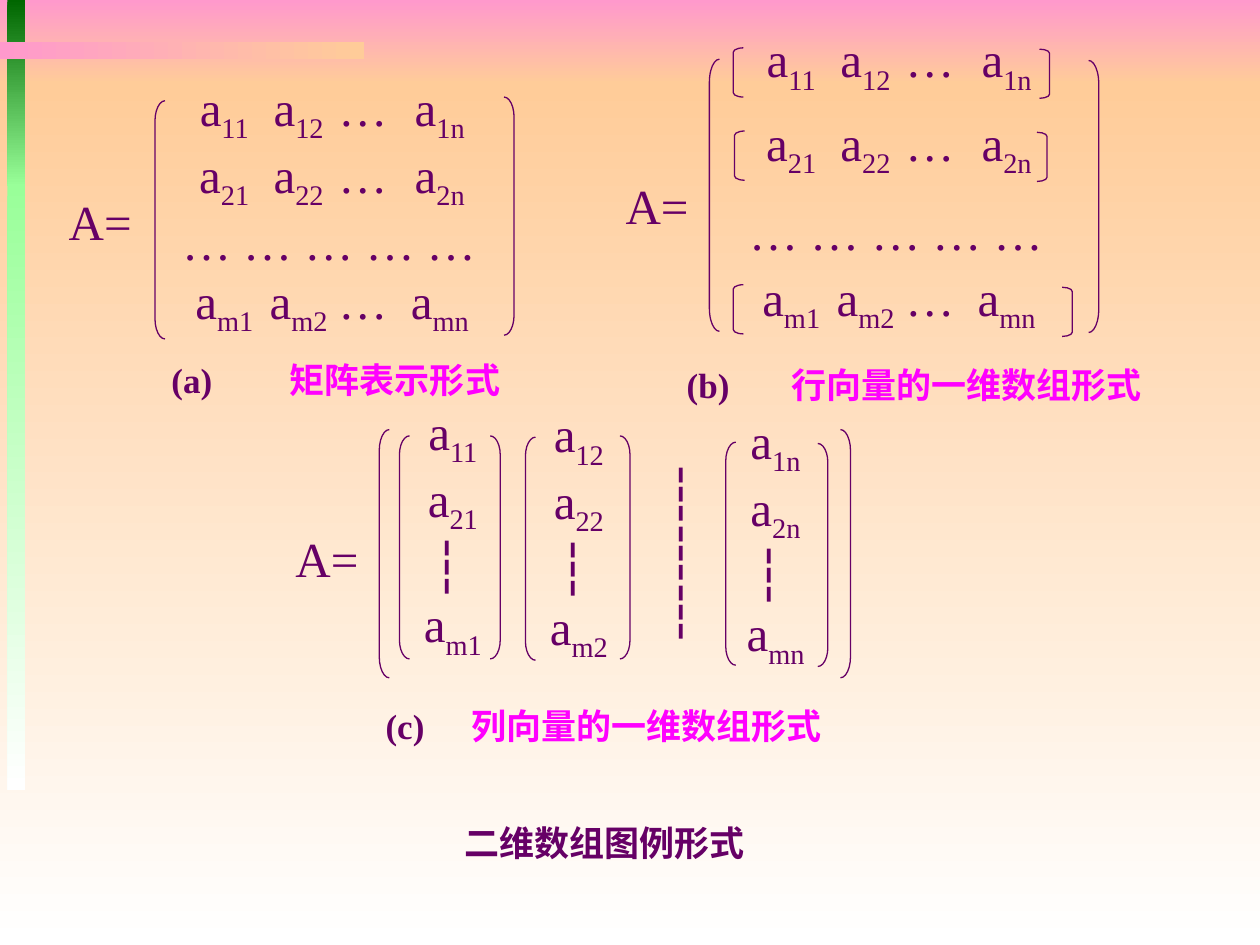
"""Three notations for a two-dimensional array, laid out on a 100 by 75 grid."""
from dataclasses import dataclass

import lxml.etree
import pptx
import pptx.dml.color
import pptx.enum.shapes
import pptx.enum.text
import pptx.oxml.ns
import pptx.util

CELL = pptx.util.Inches(0.1)
COLUMNS, ROWS = 100, 75
BRACKET_WIDTH = 0.8
BRACKET_CURVE = 1 / 11.7  # corner radius as a share of bracket height
ENTRY_OFFSETS = (-8.3, -2.4, 2.7, 8.8)  # matrix columns, from the centre
DOTS = "… … … … …"
LEFT = pptx.enum.shapes.MSO_SHAPE.LEFT_BRACKET
RIGHT = pptx.enum.shapes.MSO_SHAPE.RIGHT_BRACKET


@dataclass(frozen=True)
class Theme:
    """Colours, fonts and type sizes."""
    ink: str = "660066"
    accent: str = "FF00FF"
    pink: str = "FF99CC"
    peach: str = "FFCC99"
    white: str = "FFFFFF"
    dark_green: str = "006600"
    light_green: str = "99FF99"
    serif: str = "Times New Roman"
    sans: str = "Arial"
    formula_size: int = 28
    caption_size: int = 20


@dataclass(frozen=True)
class Box:
    """A rectangle in grid cells."""
    left: float
    top: float
    width: float
    height: float


@dataclass(frozen=True)
class Band:
    """A background strip with a two-colour gradient."""
    box: Box
    start: str
    end: str
    angle: int = 270


@dataclass(frozen=True)
class BracketPair:
    """Left and right bracket columns, their tops and common height."""
    left: float
    left_top: float
    right: float
    right_top: float
    height: float


@dataclass(frozen=True)
class Caption:
    """A panel label and title with the columns where they start."""
    box: Box
    label: str
    label_column: float
    title: str
    title_column: float
    title_font: str


THEME = Theme()
BANDS = (
    Band(Box(0, 0, COLUMNS, 6.7), THEME.pink, THEME.peach),
    Band(Box(0, 6.7, COLUMNS, ROWS - 6.7), THEME.peach, THEME.white),
    Band(Box(0.6, 0, 1.4, 14.8), THEME.dark_green, THEME.light_green),
    Band(Box(0.6, 14.6, 1.4, 48.1), THEME.light_green, THEME.white),
    Band(Box(0, 3.3, 28.9, 1.4), THEME.pink, THEME.peach, 0),
)
BRACKETS = (
    BracketPair(12.3, 8, 40, 7.7, 18.9),
    BracketPair(56.3, 4.7, 86.4, 4.8, 21.6),
    BracketPair(58.2, 3.8, 82.5, 3.9, 3.9),
    BracketPair(58.3, 10.4, 82.3, 10.5, 3.9),
    BracketPair(58.2, 22.6, 84.3, 22.8, 3.9),
    BracketPair(31.7, 34.6, 38.9, 34.6, 17.7),
    BracketPair(41.7, 34.7, 49.2, 34.6, 17.7),
    BracketPair(57.6, 35.1, 64.9, 35.2, 17.7),
    BracketPair(30.1, 34.1, 66.7, 34.1, 19.7),
)
ROW_TOPS = {"1": 3, "2": 9.6, "m": 21.9}
COLUMN_BOXES = {
    "1": Box(32.6, 32.1, 6.7, 20.1),
    "2": Box(42.6, 32.3, 6.7, 20.1),
    "n": Box(58.2, 33, 6.7, 19.7),
}
EQUALS_BOXES = (Box(5, 15.2, 5.9, 4.7), Box(49.2, 13.9, 5.9, 4.7),
                Box(22.6, 41.3, 6.7, 5.9))
CAPTIONS = (
    Caption(Box(11.7, 28, 30, 4.2), "(a)", 13.6, "矩阵表示形式", 23, THEME.sans),
    Caption(Box(53, 28.4, 39.2, 4.2), "(b)", 54.5, "行向量的一维数组形式", 62.8,
            THEME.serif),
    Caption(Box(28.3, 55.5, 39.2, 4.2), "(c)", 30.6, "列向量的一维数组形式", 37.4,
            THEME.sans),
)


def cells(count: float) -> int:
    """Convert grid cells to slide units."""
    return round(count * CELL)


def place(box: Box) -> tuple:
    """Give a box as left, top, width and height in slide units."""
    return cells(box.left), cells(box.top), cells(box.width), cells(box.height)


def colour(value: str) -> pptx.dml.color.RGBColor:
    """Turn a hexadecimal string into a colour."""
    return pptx.dml.color.RGBColor.from_string(value)


def draw_band(slide, band: Band) -> None:
    """Draw one gradient strip."""
    shape = slide.shapes.add_shape(pptx.enum.shapes.MSO_SHAPE.RECTANGLE, *place(band.box))
    shape.shadow.inherit = False
    shape.line.fill.background()
    shape.fill.gradient()
    shape.fill.gradient_angle = band.angle
    for stop, value in zip(shape.fill.gradient_stops, (band.start, band.end)):
        stop.color.rgb = colour(value)


def draw_brackets(slide, pair: BracketPair) -> None:
    """Draw the two brackets around a matrix or vector."""
    for kind, left, top in ((LEFT, pair.left, pair.left_top),
                            (RIGHT, pair.right, pair.right_top)):
        shape = slide.shapes.add_shape(
            kind, *place(Box(left, top, BRACKET_WIDTH, pair.height)))
        shape.shadow.inherit = False
        shape.adjustments[0] = pair.height / BRACKET_WIDTH * BRACKET_CURVE
        shape.fill.background()
        shape.line.color.rgb = colour(THEME.ink)
        shape.line.width = pptx.util.Pt(0.75)


def add_text(slide, box: Box, wrap: bool = False):
    """Add a vertically centred text frame without margins."""
    frame = slide.shapes.add_textbox(*place(box)).text_frame
    frame.word_wrap = wrap
    frame.vertical_anchor = pptx.enum.text.MSO_ANCHOR.MIDDLE
    frame.margin_left = frame.margin_right = frame.margin_top = frame.margin_bottom = 0
    return frame


def add_run(paragraph, text: str, size: int, font: str = THEME.serif,
            value: str = THEME.ink, bold: bool = False):
    """Add a formatted run to a paragraph."""
    run = paragraph.add_run()
    run.text = text
    run.font.size = pptx.util.Pt(size)
    run.font.name = font
    run.font.bold = bold
    run.font.color.rgb = colour(value)
    return run


def set_tabs(paragraph, positions, align: str) -> None:
    """Give a paragraph tab stops at distances from the box's left edge."""
    properties = paragraph._p.get_or_add_pPr()
    tabs = lxml.etree.SubElement(properties, pptx.oxml.ns.qn("a:tabLst"))
    for position in positions:
        lxml.etree.SubElement(tabs, pptx.oxml.ns.qn("a:tab"),
                              pos=str(cells(position)), algn=align)


def draw_formula(slide, box: Box, lines) -> None:
    """Write lines in which [ ] marks subscripts and tabs separate entries."""
    frame = add_text(slide, box, wrap=any("\t" in line for line in lines))
    for index, line in enumerate(lines):
        paragraph = frame.add_paragraph() if index else frame.paragraphs[0]
        if "\t" in line:
            paragraph.alignment = pptx.enum.text.PP_ALIGN.LEFT
            set_tabs(paragraph, [box.width / 2 + offset for offset in ENTRY_OFFSETS], "ctr")
        else:
            paragraph.alignment = pptx.enum.text.PP_ALIGN.CENTER
        for part, text in enumerate(line.replace("]", "[").split("[")):
            if text:
                run = add_run(paragraph, text, THEME.formula_size)
                if part % 2:
                    run.font._element.set("baseline", "-25000")


def matrix_row(row: str) -> str:
    """Compose the entries of one matrix row."""
    return f"\ta[{row}1]\ta[{row}2]\t…\ta[{row}n]"


def draw_caption(slide, caption: Caption) -> None:
    """Write a panel's label and title at their tab stops."""
    paragraph = add_text(slide, caption.box, wrap=True).paragraphs[0]
    set_tabs(paragraph, [column - caption.box.left for column in
                         (caption.label_column, caption.title_column)], "l")
    add_run(paragraph, f"\t{caption.label}\t", THEME.caption_size, bold=True)
    add_run(paragraph, caption.title, THEME.caption_size, caption.title_font,
            THEME.accent, bold=True)


def main() -> None:
    """Build and save the slide."""
    presentation = pptx.Presentation()
    presentation.slide_width, presentation.slide_height = COLUMNS * CELL, ROWS * CELL
    slide = presentation.slides.add_slide(presentation.slide_layouts[6])
    for band in BANDS:
        draw_band(slide, band)
    for pair in BRACKETS:
        draw_brackets(slide, pair)
    for box in EQUALS_BOXES:
        draw_formula(slide, box, ["A="])
    draw_formula(slide, Box(12.5, 6.8, 27.2, 19.3),
                 [matrix_row("1"), matrix_row("2"), DOTS, matrix_row("m")])
    for row, top in ROW_TOPS.items():
        draw_formula(slide, Box(58.6, top, 25, 3.9), [matrix_row(row)])
    draw_formula(slide, Box(58.6, 16.4, 25, 3.9), [DOTS])
    for column, box in COLUMN_BOXES.items():
        draw_formula(slide, box, [f"a[1{column}]", f"a[2{column}]", "┆ ", f"a[m{column}]"])
    draw_formula(slide, Box(51.3, 34.9, 5.5, 17.7), ["┆"] * 3)
    for caption in CAPTIONS:
        draw_caption(slide, caption)
    footer = add_text(slide, Box(30.9, 64.8, 34.2, 4.2), wrap=True).paragraphs[0]
    footer.alignment = pptx.enum.text.PP_ALIGN.CENTER
    add_run(footer, "二维数组图例形式", THEME.caption_size, THEME.sans, bold=True)
    presentation.save("out.pptx")


main()
